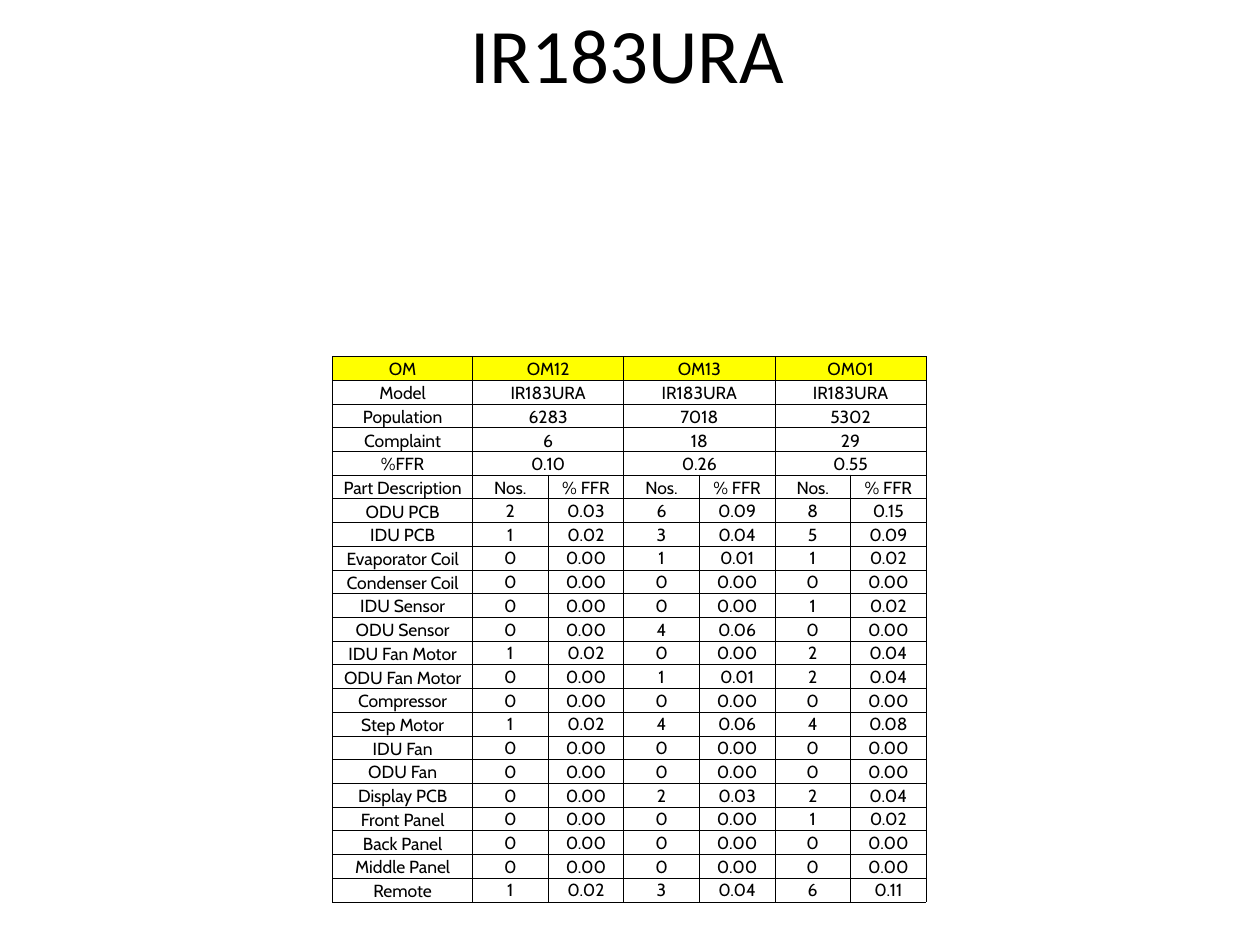
from lxml.etree import SubElement
from pptx import Presentation
from pptx.dml.color import RGBColor
from pptx.enum.text import MSO_ANCHOR, PP_ALIGN
from pptx.oxml.ns import qn
from pptx.util import Inches, Pt

COLORS = {"text": "000000", "border": "000000", "header": "FFFF00"}
MODEL = "IR183URA"
MONTHS = ["OM12", "OM13", "OM01"]
POPULATIONS = [6283, 7018, 5302]
COMPLAINTS = [6, 18, 29]
PART_FAILURES = {
    "ODU PCB": (2, 6, 8),
    "IDU PCB": (1, 3, 5),
    "Evaporator Coil": (0, 1, 1),
    "Condenser Coil": (0, 0, 0),
    "IDU Sensor": (0, 0, 1),
    "ODU Sensor": (0, 4, 0),
    "IDU Fan Motor": (1, 0, 2),
    "ODU Fan Motor": (0, 1, 2),
    "Compressor": (0, 0, 0),
    "Step Motor": (1, 4, 4),
    "IDU Fan": (0, 0, 0),
    "ODU Fan": (0, 0, 0),
    "Display PCB": (0, 2, 2),
    "Front Panel": (0, 0, 1),
    "Back Panel": (0, 0, 0),
    "Middle Panel": (0, 0, 0),
    "Remote": (1, 3, 6),
}
CELL_FORMAT = {
    "margin_left": Inches(0.01),
    "margin_right": Inches(0.01),
    "margin_top": Inches(0.01),
    "margin_bottom": 0,
}


def failure_rates(counts):
    """Field failure rate of each month, in percent of its population."""
    return [f"{100 * count / total:.2f}" for count, total in zip(counts, POPULATIONS)]


def write_centered(paragraph, text, font_name, size):
    paragraph.alignment = PP_ALIGN.CENTER
    run = paragraph.add_run()
    run.text = text
    font_format = {"name": font_name, "size": Pt(size)}
    for attribute, value in font_format.items():
        setattr(run.font, attribute, value)
    run.font.color.rgb = RGBColor.from_string(COLORS["text"])


def add_title(slide, text):
    title = slide.shapes.add_textbox(Inches(0.48), Inches(0.17), Inches(9), Inches(0.5))
    title.text_frame.word_wrap = True
    title.text_frame.vertical_anchor = MSO_ANCHOR.MIDDLE
    write_centered(title.text_frame.paragraphs[0], text, "Calibri", 44)


def add_borders(cell):
    properties = cell._tc.get_or_add_tcPr()
    for side in ("a:lnL", "a:lnR", "a:lnT", "a:lnB"):
        line = SubElement(properties, qn(side), w=str(Pt(0.5)))
        fill = SubElement(line, qn("a:solidFill"))
        SubElement(fill, qn("a:srgbClr"), val=COLORS["border"])


def style_cell(cell, anchor, is_header):
    for attribute, value in CELL_FORMAT.items():
        setattr(cell, attribute, value)
    cell.vertical_anchor = anchor
    add_borders(cell)
    if is_header:
        cell.fill.solid()
        cell.fill.fore_color.rgb = RGBColor.from_string(COLORS["header"])
    else:
        cell.fill.background()


def add_failure_table(slide):
    summary = [
        ("OM", MONTHS),
        ("Model", [MODEL] * len(MONTHS)),
        ("Population", POPULATIONS),
        ("Complaint", COMPLAINTS),
        ("%FFR", failure_rates(COMPLAINTS)),
    ]
    rows = [[label] + [entry for value in values for entry in (value, "")]
            for label, values in summary]
    rows.append(["Part Description"] + ["Nos.", "% FFR"] * len(MONTHS))
    for part, counts in PART_FAILURES.items():
        pairs = zip(counts, failure_rates(counts))
        rows.append([part] + [entry for pair in pairs for entry in pair])

    width, height = Inches(4.71), Inches(4.33)
    table = slide.shapes.add_table(
        len(rows), len(rows[0]), Inches(2.64), Inches(2.83), width, height).table
    table.first_row = table.horz_banding = False
    for index, column in enumerate(table.columns):
        column.width = Inches(0.6) if index else Inches(1.11)
    for row in table.rows:
        row.height = height // len(rows)

    for row_index in range(len(summary)):
        for column_index in range(1, len(rows[0]), 2):
            table.cell(row_index, column_index).merge(
                table.cell(row_index, column_index + 1))

    for row_index, values in enumerate(rows):
        for column_index, value in enumerate(values):
            cell = table.cell(row_index, column_index)
            is_count = row_index > len(summary) and column_index > 0
            anchor = MSO_ANCHOR.MIDDLE if is_count else MSO_ANCHOR.BOTTOM
            style_cell(cell, anchor, row_index == 0)
            if not cell.is_spanned:
                write_centered(cell.text_frame.paragraphs[0], str(value), "Cabin", 10)


def main():
    presentation = Presentation()
    presentation.slide_width = Inches(10)
    presentation.slide_height = Inches(7.5)
    slide = presentation.slides.add_slide(presentation.slide_layouts[6])
    add_title(slide, MODEL)
    add_failure_table(slide)
    presentation.save("out.pptx")


if __name__ == "__main__":
    main()
